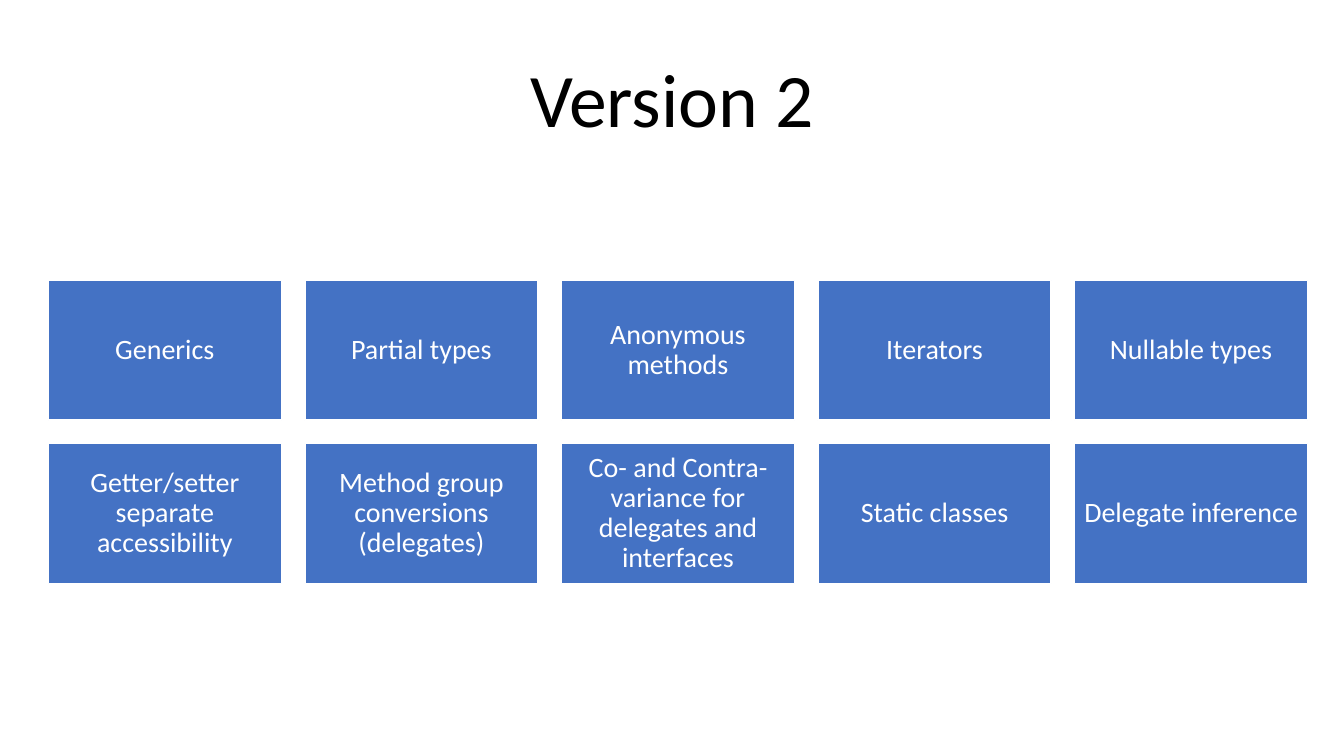
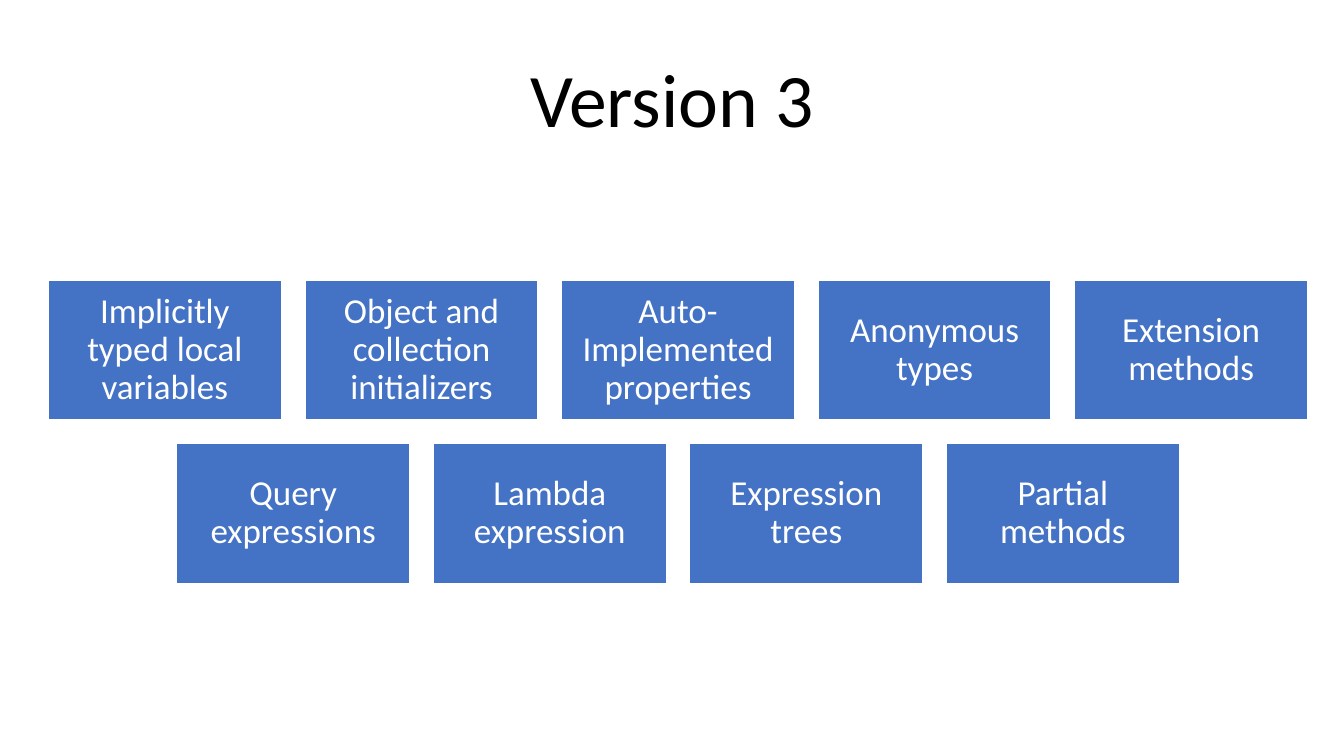
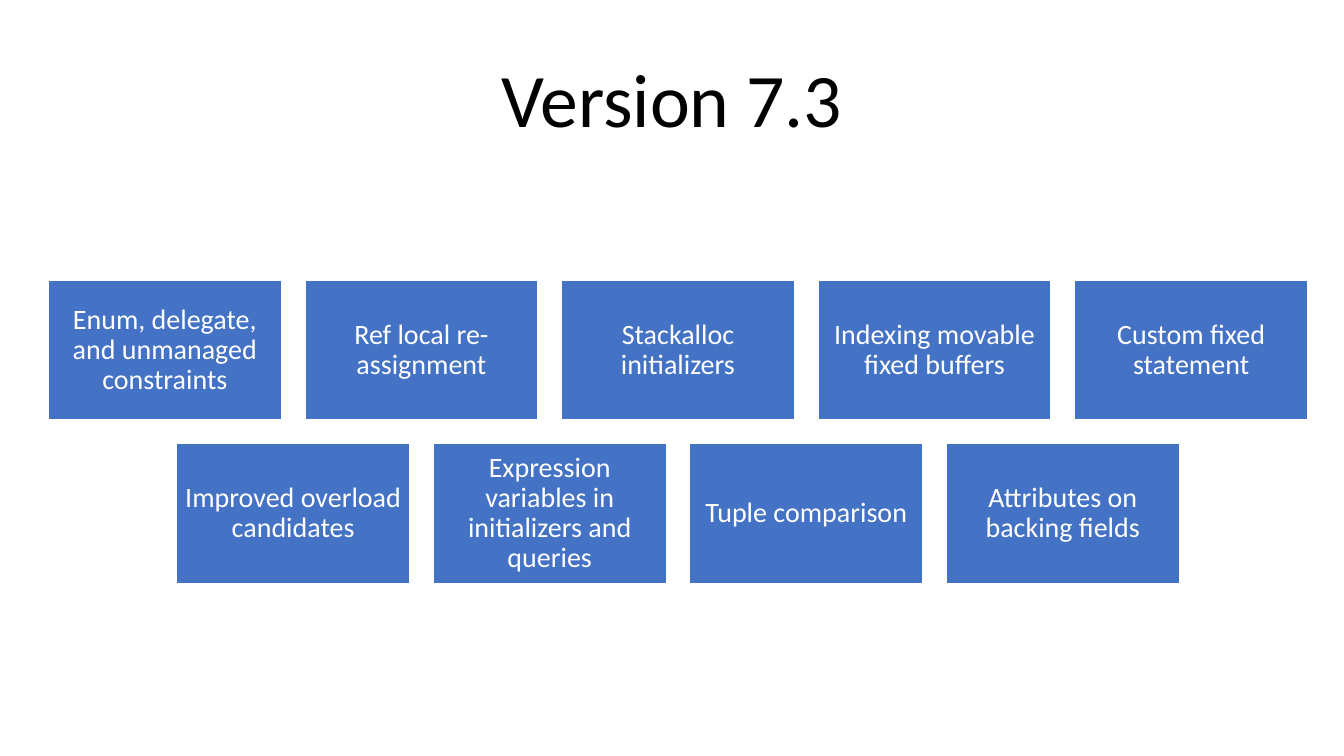
from pptx import Presentation
from pptx.dml.color import RGBColor
from pptx.enum.shapes import MSO_SHAPE as Shape
from pptx.enum.text import MSO_ANCHOR as Anchor, MSO_AUTO_SIZE as AutoSize, PP_ALIGN as Align
from pptx.util import Pt

# Title, text size of the tiles, features in reading order
VERSIONS = [
    ("Version 2", 20, [
        "Generics",
        "Partial types",
        "Anonymous methods",
        "Iterators",
        "Nullable types",
        "Getter/setter separate accessibility",
        "Method group conversions (delegates)",
        "Co- and Contra-variance for delegates and interfaces",
        "Static classes",
        "Delegate inference",
    ]),
    ("Version 3", 25, [
        "Implicitly typed local variables",
        "Object and collection initializers",
        "Auto-Implemented properties",
        "Anonymous types",
        "Extension methods",
        "Query expressions",
        "Lambda expression",
        "Expression trees",
        "Partial methods",
    ]),
    ("Version 7.3", 20, [
        "Enum, delegate, and unmanaged constraints",
        "Ref local re-assignment",
        "Stackalloc initializers",
        "Indexing movable fixed buffers",
        "Custom fixed statement",
        "Improved overload candidates",
        "Expression variables in initializers and queries",
        "Tuple comparison",
        "Attributes on backing fields",
    ]),
]

FONT = "Calibri"
BLACK = RGBColor(0x00, 0x00, 0x00)
WHITE = RGBColor(0xFF, 0xFF, 0xFF)
BLUE = RGBColor(0x44, 0x72, 0xC4)

PAGE_WIDTH, PAGE_HEIGHT = 960, 540
TITLE_TOP, TITLE_WIDTH, TITLE_HEIGHT = 33, 300, 73
COLUMNS = 5
TILE_WIDTH = 166.6
TILE_HEIGHT = TILE_WIDTH * 0.6
GAP = TILE_WIDTH * 0.1
GRID_CENTER, GRID_TOP = 484.3, 200.2


def write(box, text, size, color, line_spacing=1.0, inset=None, wrap=True):
    frame = box.text_frame
    frame.text = text
    frame.auto_size = AutoSize.NONE
    frame.word_wrap = wrap
    frame.vertical_anchor = Anchor.MIDDLE
    if inset is not None:
        frame.margin_left = frame.margin_right = Pt(inset)
        frame.margin_top = frame.margin_bottom = Pt(inset)
    para = frame.paragraphs[0]
    para.alignment = Align.CENTER
    para.line_spacing = line_spacing
    font = para.runs[0].font
    font.name, font.size, font.color.rgb = FONT, Pt(size), color


def add_title(page, text):
    title = page.shapes.title
    title.left, title.top = Pt((PAGE_WIDTH - TITLE_WIDTH) / 2), Pt(TITLE_TOP)
    title.width, title.height = Pt(TITLE_WIDTH), Pt(TITLE_HEIGHT)
    write(title, text, 54, BLACK, wrap=False)


def add_tile(page, text, left, top, size):
    tile = page.shapes.add_shape(
        Shape.RECTANGLE, Pt(left), Pt(top), Pt(TILE_WIDTH), Pt(TILE_HEIGHT))
    tile.shadow.inherit = False
    tile.fill.solid()
    tile.fill.fore_color.rgb = BLUE
    tile.line.color.rgb = WHITE
    tile.line.width = Pt(1)
    write(tile, text, size, WHITE, line_spacing=0.9, inset=size * 0.3)


def add_tiles(page, features, size):
    """Fill rows of five tiles, each row centred on the grid."""
    for start in range(0, len(features), COLUMNS):
        row = features[start:start + COLUMNS]
        row_width = len(row) * (TILE_WIDTH + GAP) - GAP
        top = GRID_TOP + start // COLUMNS * (TILE_HEIGHT + GAP)
        for column, feature in enumerate(row):
            left = GRID_CENTER - row_width / 2 + column * (TILE_WIDTH + GAP)
            add_tile(page, feature, left, top, size)


def main():
    deck = Presentation()
    deck.slide_width, deck.slide_height = Pt(PAGE_WIDTH), Pt(PAGE_HEIGHT)
    title_only = deck.slide_layouts.get_by_name("Title Only")
    for name, size, features in VERSIONS:
        page = deck.slides.add_slide(title_only)
        add_title(page, name)
        add_tiles(page, features, size)
    deck.save("out.pptx")


if __name__ == "__main__":
    main()
